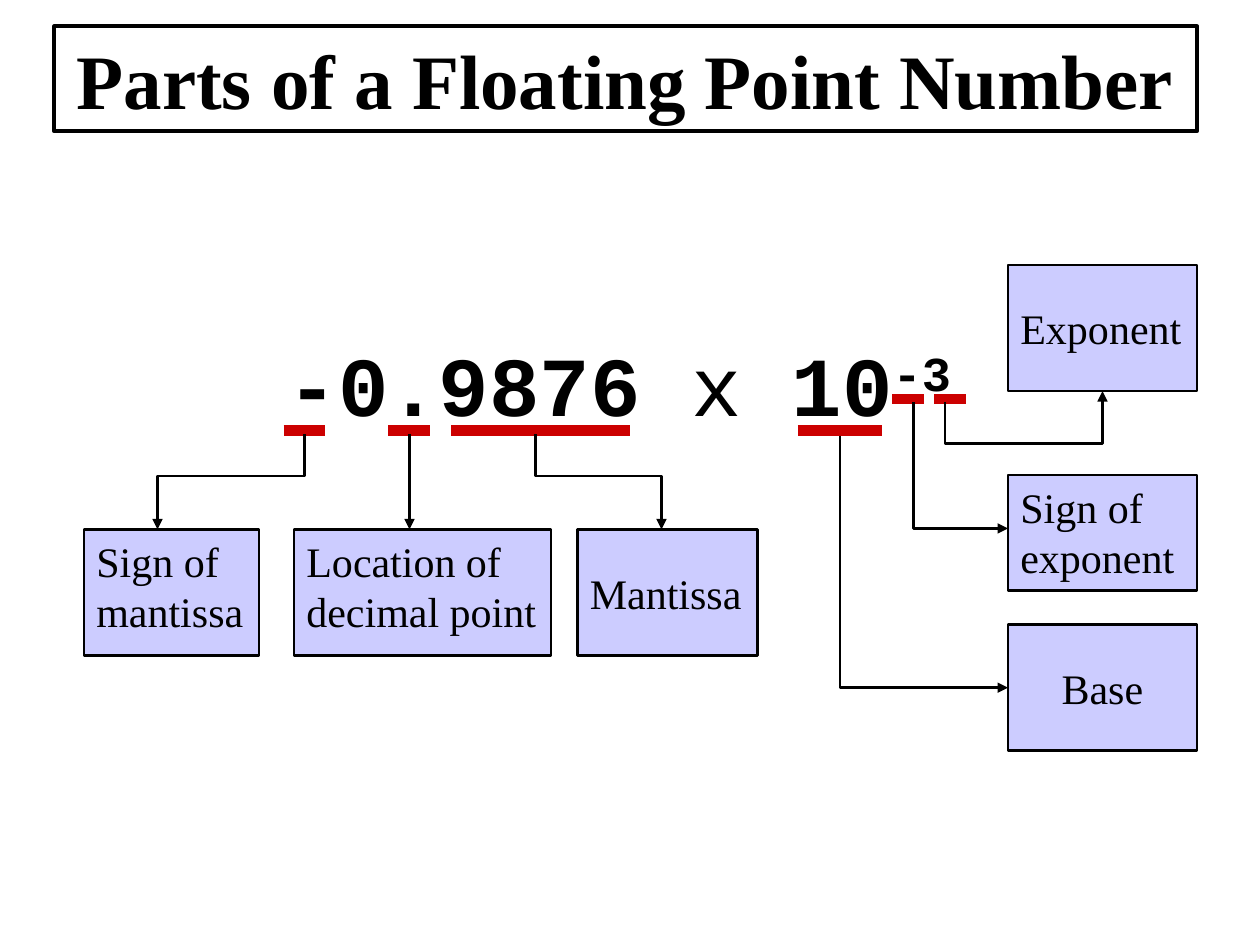
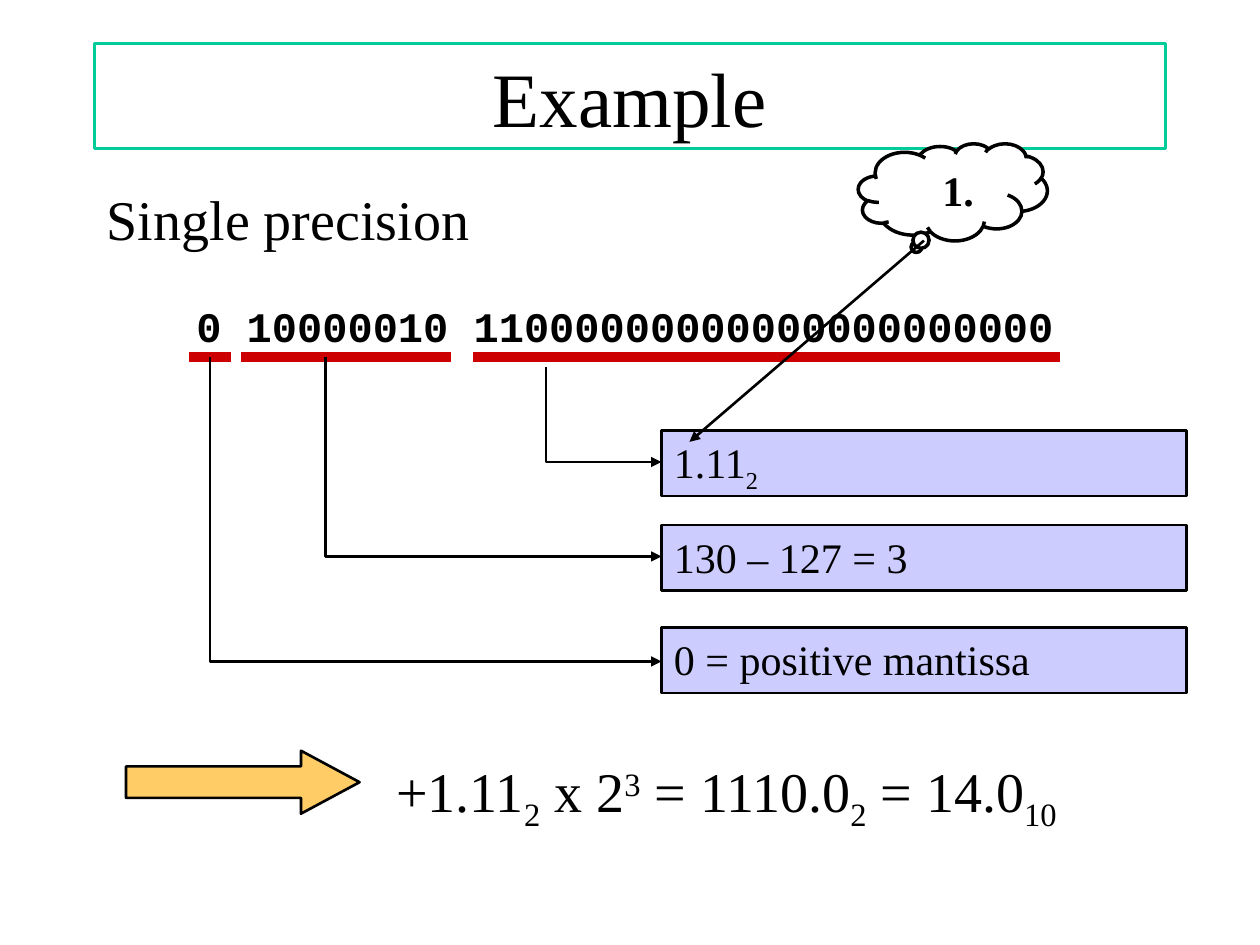
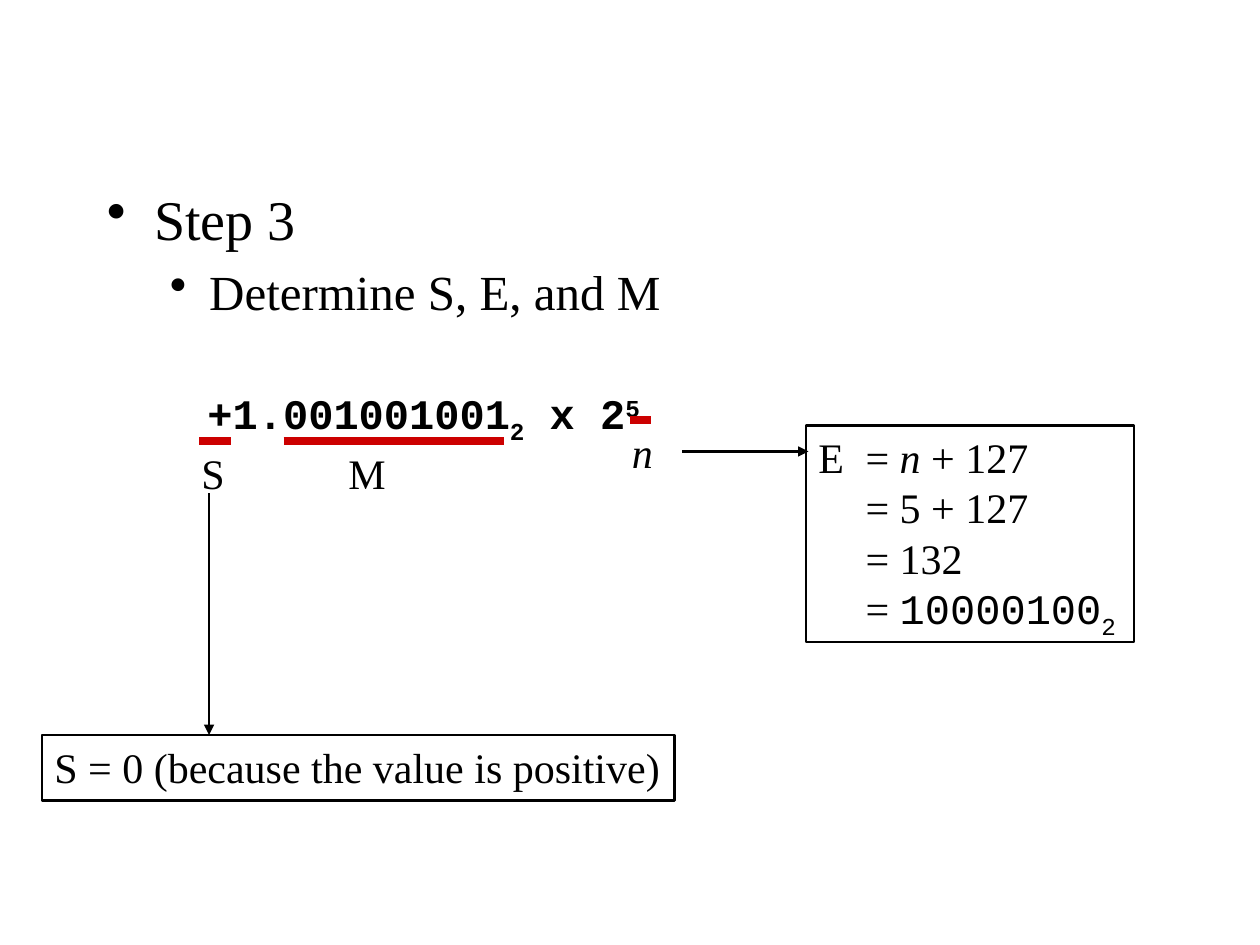
from dataclasses import dataclass

from lxml.etree import SubElement
from pptx import Presentation
from pptx.dml.color import RGBColor
from pptx.enum.shapes import MSO_CONNECTOR, MSO_SHAPE
from pptx.enum.text import MSO_ANCHOR, PP_ALIGN
from pptx.oxml.ns import qn
from pptx.util import Pt


@dataclass(frozen=True)
class Theme:
    ink: str = "000000"
    paper: str = "FFFFFF"
    accent: str = "CC0000"
    box: str = "CCCCFF"
    arrow: str = "FFCC66"
    frame: str = "00CC99"
    serif: str = "Times New Roman"
    mono: str = "Courier New"
    title: int = 44
    number: int = 48
    body: int = 32
    sub: int = 28
    label: int = 24
    thin: float = 1.5
    cloud: float = 2
    thick: float = 2.25
    mark: float = 6
    small_mark: float = 4.5


T = Theme()
SUB = {"base": -25}
SUP = {"base": 30}


class Deck:
    def __init__(self, theme):
        self.theme = theme
        self.prs = Presentation()
        self.prs.slide_width, self.prs.slide_height = Pt(720), Pt(540)
        self.s = None

    def slide(self):
        self.s = self.prs.slides.add_slide(self.prs.slide_layouts[6])
        fill = self.s.background.fill
        fill.solid()
        fill.fore_color.rgb = RGBColor.from_string(self.theme.paper)

    def paragraphs(self, tf, paragraphs, size=None, font=None, bold=False,
                   align=PP_ALIGN.LEFT, anchor=MSO_ANCHOR.TOP, wrap=True,
                   before=0, indents=(), bullet=None, tab=None):
        tf.word_wrap = wrap
        tf.vertical_anchor = anchor
        for i, runs in enumerate(paragraphs):
            p = tf.paragraphs[0] if i == 0 else tf.add_paragraph()
            p.alignment = align
            pPr = p._p.get_or_add_pPr()
            if indents:
                left, first = indents[i]
                pPr.set("marL", str(Pt(left)))
                pPr.set("indent", str(Pt(first)))
            if before:
                space = SubElement(pPr, qn("a:spcBef"))
                SubElement(space, qn("a:spcPct")).set("val", str(before * 1000))
            if bullet:
                SubElement(pPr, qn("a:buChar")).set("char", bullet)
            if tab:
                tabs = SubElement(pPr, qn("a:tabLst"))
                SubElement(tabs, qn("a:tab"), pos=str(Pt(tab)), algn="l")
            for run in runs:
                text, look = (run, {}) if isinstance(run, str) else run
                self.run(p, text, **{"size": size, "font": font, "bold": bold, **look})

    def run(self, p, text, size, font, bold, italic=False, base=0):
        for i, line in enumerate(text.split("\n")):
            if i:
                p.add_line_break()
            r = p.add_run()
            r.text = line
            r.font.size = Pt(size or self.theme.label)
            r.font.name = font or self.theme.serif
            r.font.bold, r.font.italic = bold, italic
            r.font.color.rgb = RGBColor.from_string(self.theme.ink)
            if base:
                r._r.get_or_add_rPr().set("baseline", str(base * 1000))

    def text(self, at, *paragraphs, **style):
        sp = self.s.shapes.add_textbox(*map(Pt, at))
        self.paragraphs(sp.text_frame, paragraphs, **style)
        return sp

    def title(self, at, text, color, width, bold=False):
        sp = self.text(at, [text], size=self.theme.title, bold=bold,
                       align=PP_ALIGN.CENTER, anchor=MSO_ANCHOR.MIDDLE)
        self.stroke(sp.line, color, width)

    def box(self, at, *paragraphs, kind=MSO_SHAPE.RECTANGLE, fill=None,
            width=None, adjust=(), **style):
        sp = self.s.shapes.add_shape(kind, *map(Pt, at))
        for i, value in enumerate(adjust):
            sp.adjustments[i] = value
        sp.shadow.inherit = False
        if fill:
            sp.fill.solid()
            sp.fill.fore_color.rgb = RGBColor.from_string(fill)
        else:
            sp.fill.background()
        self.stroke(sp.line, self.theme.ink, width or self.theme.thin)
        self.paragraphs(sp.text_frame, paragraphs, **style)

    def stroke(self, line, color, width, arrow=False):
        line.color.rgb = RGBColor.from_string(color)
        line.width = Pt(width)
        if arrow:
            SubElement(line._get_or_add_ln(), qn("a:tailEnd")).set("type", "triangle")

    def line(self, start, end, color, width, arrow=False):
        c = self.s.shapes.add_connector(MSO_CONNECTOR.STRAIGHT, *map(Pt, start + end))
        self.stroke(c.line, color, width, arrow)
        SubElement(c._element.spPr, qn("a:effectLst"))

    def underline(self, left, right, y, width=None):
        self.line((left, y), (right, y), self.theme.accent, width or self.theme.mark)

    def arrow(self, *points):
        if len(points) == 2:
            self.line(*points, self.theme.ink, self.theme.thin, arrow=True)
            return
        start, *rest = [tuple(map(Pt, point)) for point in points]
        builder = self.s.shapes.build_freeform(*start)
        builder.add_line_segments(rest, close=False)
        sp = builder.convert_to_shape()
        sp.shadow.inherit = False
        sp.fill.background()
        self.stroke(sp.line, self.theme.ink, self.theme.thin, arrow=True)


def parts_slide(d):
    d.slide()
    d.title((31, 15, 653, 60), "Parts of a Floating Point Number", T.ink, T.thick, bold=True)
    d.text((48, 186.5, 612, 66),
           ["-0.9876 ", ("x", {"bold": False}), " 10", ("-3", SUP)],
           size=T.number, font=T.mono, bold=True, align=PP_ALIGN.CENTER, before=50)
    for left, right, y in ((162, 186, 246), (222, 246, 246), (258, 360, 246),
                           (456, 504, 246), (510, 528, 228), (534, 552, 228)):
        d.underline(left, right, y)

    row, column = 302.5, 576
    top, middle = MSO_ANCHOR.TOP, MSO_ANCHOR.MIDDLE
    for at, label, anchor, align in (
        ((48, row, 100, 72), "Sign of\nmantissa", top, PP_ALIGN.LEFT),
        ((168, row, 147, 72), "Location of\ndecimal point", top, PP_ALIGN.LEFT),
        ((330, row, 103, 72), "Mantissa", middle, PP_ALIGN.LEFT),
        ((column, 151.5, 108, 72), "Exponent", middle, PP_ALIGN.LEFT),
        ((column, 271.5, 108, 66), "Sign of\nexponent", top, PP_ALIGN.LEFT),
        ((column, 357, 108, 72), "Base", middle, PP_ALIGN.CENTER),
    ):
        d.box(at, [label], fill=T.box, anchor=anchor, align=align, wrap=False)

    for start, end in ((174, 90), (306, 378)):
        d.arrow((start, 248), (start, 272), (end, 272), (end, row))
    d.arrow((234, 248), (234, row))
    for x, y, end in ((480, 249, 393), (522, 230, 302)):
        d.arrow((x, y), (x, end), (column, end))
    d.arrow((540, 230), (540, 253.5), (630, 253.5), (630, 223.5))


def example_slide(d):
    d.slide()
    d.title((54, 25, 612, 60), "Example", T.frame, T.thin)
    d.text((54, 102, 612, 324), ["Single precision"], size=T.body, before=20)
    d.text((78, 168, 558, 36), ["0 10000010 11000000000000000000000"],
           font=T.mono, bold=True, align=PP_ALIGN.CENTER, before=50)
    for left, right in ((108, 132), (138, 258), (270, 606)):
        d.underline(left, right, 204)

    fields = (
        (246, ["1.11", ("2", SUB)], (312, 210), 264),
        (300, ["130 – 127 = 3"], (186, 204), 318),
        (358.5, ["0 = positive mantissa"], (120, 204), 378),
    )
    for y, runs, start, end in fields:
        d.box((378, y, 300, 37.5), runs, fill=T.box, before=50)
        d.arrow(start, (start[0], end), (378, end))

    d.text((219.5, 429, 399, 46),
           ["+1.11", ("2", SUB), " x 2", ("3", SUP), " = 1110.0", ("2", SUB),
            " = 14.0", ("10", SUB)], size=T.body, before=50)
    d.box((72, 429, 133.5, 36), kind=MSO_SHAPE.RIGHT_ARROW, fill=T.arrow, adjust=(0.5, 0.93))
    d.box((490.5, 82, 108, 55.5), ["1."], kind=MSO_SHAPE.CLOUD_CALLOUT, fill=T.paper,
          width=T.cloud, adjust=(-0.2, 0.59), bold=True, anchor=MSO_ANCHOR.MIDDLE,
          indents=[(26, 0)])
    d.arrow((528, 137.5), (394, 252.5))


def step_slide(d):
    d.slide()
    d.text((54, 102, 612, 324), ["Step 3"], [("Determine S, E, and M", {"size": T.sub})],
           size=T.body, before=20, bullet="•", indents=[(27, -27), (58.5, -22.5)])
    d.text((111.5, 218, 263.5, 36),
           ["+1.001001001", ("2", SUB), " x 2", ("5", SUP)],
           font=T.mono, bold=True, wrap=False)
    for left, right, y in ((162, 288, 252), (114, 132, 252), (360, 372, 240)):
        d.underline(left, right, y, T.small_mark)
    for x, y, width, label, italic in ((192, 252, 36, "M", False), (108, 252, 28, "S", False),
                                       (354, 240, 27, "n", True)):
        d.text((x, y, width, 36), [(label, {"italic": italic})], wrap=False)

    d.box((24, 420, 361.5, 37.5), ["S = 0 (because the value is positive)"], wrap=False)
    d.arrow((119.5, 282), (119.5, 420))
    d.box((460.5, 243, 187.5, 124),
          ["E\t= ", ("n", {"italic": True}), " + 127"],
          ["\t= 5 + 127"],
          ["\t= 132"],
          ["\t= ", ("10000100", {"font": T.mono}), ("2", {"font": T.mono, **SUB})],
          wrap=False, tab=27)
    d.arrow((390, 258), (462, 258))


def main():
    d = Deck(T)
    parts_slide(d)
    example_slide(d)
    step_slide(d)
    d.prs.save("out.pptx")


if __name__ == "__main__":
    main()
